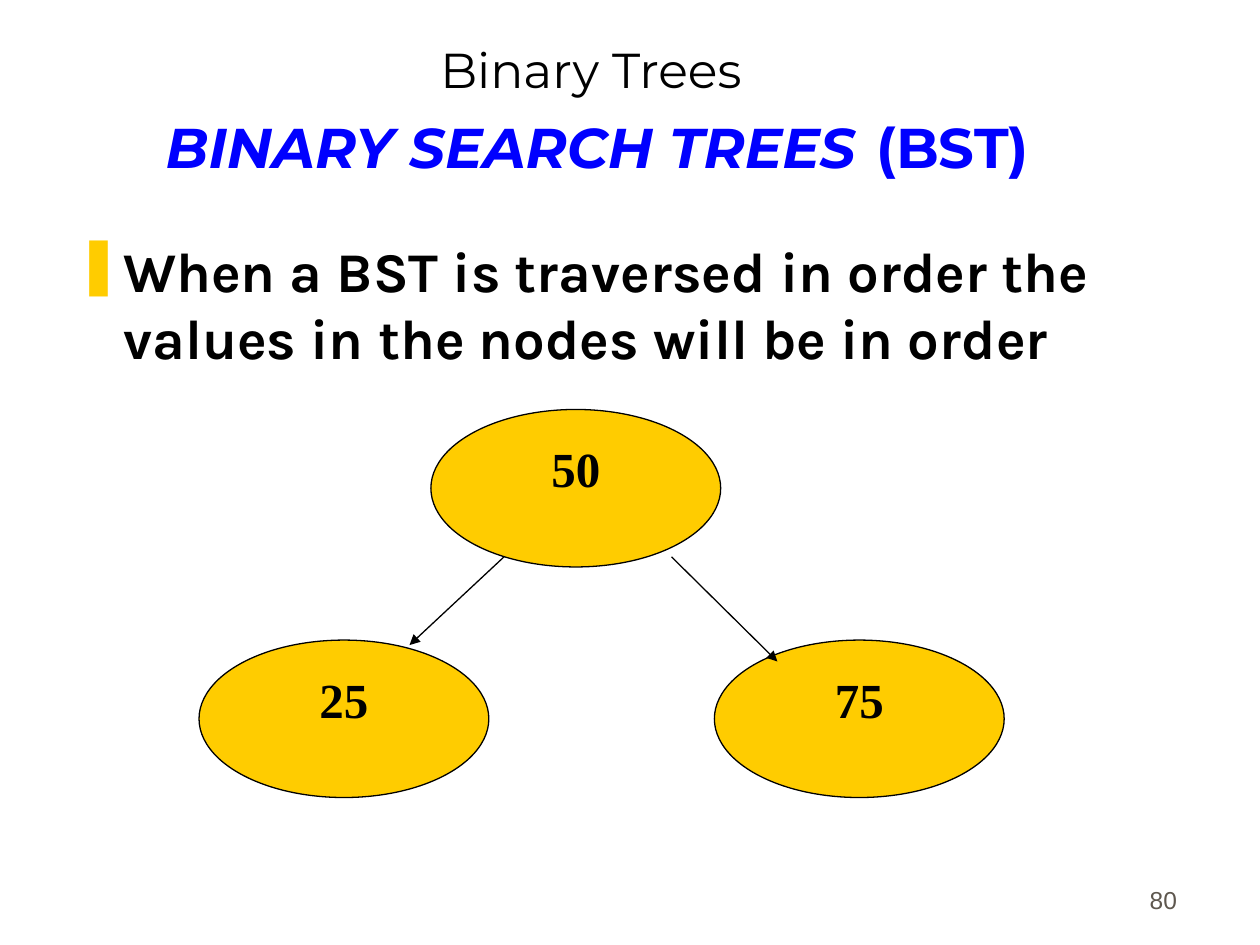
from lxml import etree
from pptx import Presentation
from pptx import util as u
from pptx.dml.color import RGBColor
from pptx.enum import shapes, text
from pptx.oxml.ns import qn

GOLD, BLACK, BLUE, GRAY = "FFCC00", "000000", "0000FF", "5E574E"
NODE_W, NODE_H = 2.3, 1.25
NODES = [("75", 5.67, 5.08), ("50", 3.42, 3.25), ("25", 1.58, 5.08)]
EDGES = [(4, 4.42, 3.25, 5.12), (5.33, 4.42, 6.17, 5.25)]


def inch(*vals):
    return [u.Inches(v) for v in vals]


def color(hue):
    return RGBColor.from_string(hue)


def style(run, hue, **form):
    run.font.color.rgb = color(hue)
    for key, val in form.items():
        setattr(run.font, key, u.Pt(val) if key == "size" else val)


def write(para, words, hue, **form):
    run = para.add_run()
    run.text = words
    style(run, hue, **form)


def frame(shape, anchor, align):
    """Set up the text frame and return its first paragraph."""
    body = shape.text_frame
    form = dict(word_wrap=True, auto_size=text.MSO_AUTO_SIZE.NONE,
                vertical_anchor=anchor)
    for key, val in form.items():
        setattr(body, key, val)
    para = body.paragraphs[0]
    para.alignment = align
    return para


def add_title(slide):
    title = slide.shapes.title
    title.left, title.top, title.width, title.height = inch(0.44, 0.25, 8.5, 1.25)
    para = frame(title, text.MSO_ANCHOR.BOTTOM, text.PP_ALIGN.CENTER)
    face = dict(name="Montserrat")
    write(para, "Binary Trees", BLACK, size=28, **face)
    para.add_line_break()
    write(para, " ", BLACK, size=28, **face)
    write(para, "BINARY SEARCH TREES", BLUE, size=32, bold=True, italic=True, **face)
    write(para, " ", BLUE, size=40, bold=True, **face)
    write(para, "(BST)", BLUE, size=32, bold=True, **face)


def add_bullet(para, sign, hue, indent):
    props = para._p.get_or_add_pPr()
    props.set("marL", str(u.Inches(indent)))
    props.set("indent", str(-u.Inches(indent)))
    fill = etree.SubElement(props, qn("a:buClr"))
    etree.SubElement(fill, qn("a:srgbClr"), val=hue)
    etree.SubElement(props, qn("a:buChar"), char=sign)


def add_body(slide):
    box = slide.shapes.add_textbox(*inch(0.5, 1.83, 8.94, 5))
    para = frame(box, text.MSO_ANCHOR.TOP, text.PP_ALIGN.LEFT)
    add_bullet(para, "❚", GOLD, 0.38)
    write(para, "When a BST is traversed in order the values in the nodes "
          "will be in order", BLACK, size=32, bold=True, name="Karla")


def add_node(slide, value, left, top):
    node = slide.shapes.add_shape(shapes.MSO_SHAPE.OVAL,
                                  *inch(left, top, NODE_W, NODE_H))
    node.shadow.inherit = False
    node.fill.solid()
    node.fill.fore_color.rgb = color(GOLD)
    node.line.color.rgb = color(BLACK)
    node.line.width = u.Pt(0.75)
    para = frame(node, text.MSO_ANCHOR.TOP, text.PP_ALIGN.CENTER)
    write(para, value, BLACK, size=28, bold=True, name="Times New Roman")


def add_edge(slide, *ends):
    edge = slide.shapes.add_connector(shapes.MSO_CONNECTOR.STRAIGHT, *inch(*ends))
    edge.line.color.rgb = color(BLACK)
    edge.line.width = u.Pt(0.75)
    etree.SubElement(edge.line._get_or_add_ln(), qn("a:tailEnd"), type="triangle")
    etree.SubElement(edge._element.spPr, qn("a:effectLst"))


def add_number(slide, number):
    box = slide.shapes.add_textbox(*inch(7.36, 6.81, 2.08, 0.5))
    para = frame(box, text.MSO_ANCHOR.BOTTOM, text.PP_ALIGN.RIGHT)
    write(para, number, GRAY, size=14, name="Arial")


def main():
    deck = Presentation()
    deck.slide_width, deck.slide_height = inch(10, 7.5)
    slide = deck.slides.add_slide(deck.slide_layouts[5])
    add_title(slide)
    add_body(slide)
    for node in NODES:
        add_node(slide, *node)
    for edge in EDGES:
        add_edge(slide, *edge)
    add_number(slide, "80")
    deck.save("out.pptx")


if __name__ == "__main__":
    main()
